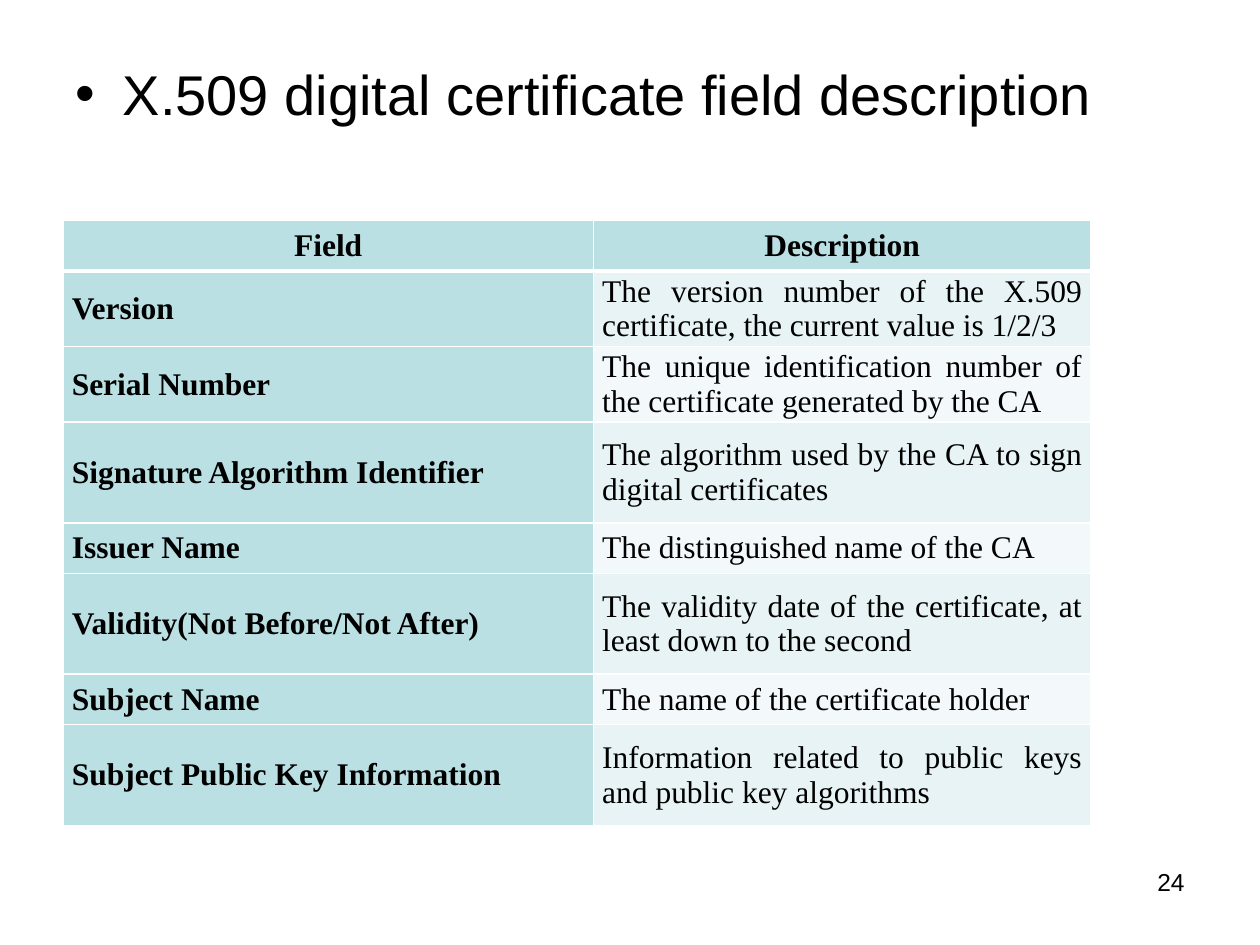
from lxml import etree
from pptx import Presentation
from pptx import util as u
from pptx.dml.color import RGBColor
from pptx.enum import text
from pptx.oxml.ns import qn

COLORS = {
    "ink": "000000",
    "rule": "FFFFFF",
    "header": "BBE0E3",
    "odd": "E7F3F4",
    "even": "F3F9FA",
}

FIELDS = [
    ("Field", "Description", 0.4),
    ("Version", "The version number of the X.509 certificate, the current value is 1/2/3", 0.4),
    ("Serial Number", "The unique identification number of the certificate generated by the CA", 0.4),
    ("Signature Algorithm Identifier", "The algorithm used by the CA to sign digital certificates", 0.8),
    ("Issuer Name", "The distinguished name of the CA", 0.4),
    ("Validity(Not Before/Not After)", "The validity date of the certificate, at least down to the second", 0.8),
    ("Subject Name", "The name of the certificate holder", 0.4),
    ("Subject Public Key Information", "Information related to public keys and public key algorithms", 0.8),
]


class SlideBuilder:
    def __init__(self, slide):
        self.slide = slide
        self.font = "Arial"
        self.table_font = "Times New Roman"

    def add_words(self, paragraph, words, size, font, align, bold=False):
        paragraph.alignment = align
        run = paragraph.add_run()
        run.text = words
        run.font.size = u.Pt(size)
        run.font.name = font
        run.font.bold = bold
        run.font.color.rgb = RGBColor.from_string(COLORS["ink"])

    def heading(self, words, left, top, width, height):
        """Fill the body placeholder, which carries the bullet, and drop the unused title."""
        title = self.slide.shapes.title
        title.element.getparent().remove(title.element)
        body = self.slide.placeholders[1]
        body.left, body.top = u.Inches(left), u.Inches(top)
        body.width, body.height = u.Inches(width), u.Inches(height)
        self.add_words(body.text_frame.paragraphs[0], words, 32, self.font, text.PP_ALIGN.JUSTIFY)

    def page_number(self, number, left, top, width, height):
        box = self.slide.shapes.add_textbox(*map(u.Inches, (left, top, width, height)))
        box.text_frame.word_wrap = True
        self.add_words(box.text_frame.paragraphs[0], number, 14, self.font, text.PP_ALIGN.RIGHT)

    def borders(self, cell, **points):
        """Draw the cell's edges; the keys are L, R, T and B."""
        props = cell._tc.get_or_add_tcPr()
        for side, width in points.items():
            line = etree.SubElement(props, qn(f"a:ln{side}"), w=str(u.Pt(width)))
            fill = etree.SubElement(line, qn("a:solidFill"))
            etree.SubElement(fill, qn("a:srgbClr"), val=COLORS["rule"])

    def cell(self, cell, words, fill, align, bold):
        cell.margin_left = cell.margin_right = u.Inches(0.07)
        cell.margin_top = cell.margin_bottom = 0
        cell.vertical_anchor = text.MSO_ANCHOR.MIDDLE
        cell.fill.solid()
        cell.fill.fore_color.rgb = RGBColor.from_string(COLORS[fill])
        self.add_words(cell.text_frame.paragraphs[0], words, 18, self.table_font, align, bold)

    def field_table(self, fields, left, top, widths):
        height = sum(row_height for _, _, row_height in fields)
        frame = self.slide.shapes.add_table(
            len(fields), len(widths),
            *map(u.Inches, (left, top, sum(widths), height)))
        table = frame.table
        for column, width in zip(table.columns, widths):
            column.width = u.Inches(width)
        for r, (*entries, row_height) in enumerate(fields):
            table.rows[r].height = u.Inches(row_height)
            align = text.PP_ALIGN.JUSTIFY if r else text.PP_ALIGN.CENTER
            for c, words in enumerate(entries):
                is_header = r == 0 or c == 0
                fill = "header" if is_header else ("even", "odd")[r % 2]
                cell = table.cell(r, c)
                self.borders(cell, L=1, R=1, T=3 if r == 1 else 1, B=3 if r == 0 else 1)
                self.cell(cell, words, fill, align, is_header)


def main():
    deck = Presentation()
    deck.slide_width, deck.slide_height = u.Inches(10), u.Inches(7.5)
    builder = SlideBuilder(deck.slides.add_slide(deck.slide_layouts[1]))
    builder.heading("X.509 digital certificate field description", 0.5, 0.42, 9, 4.95)
    builder.page_number("24", 7.17, 6.83, 2.33, 0.52)
    builder.field_table(FIELDS, 0.5, 1.75, (4.21, 3.95))
    deck.save("out.pptx")


if __name__ == "__main__":
    main()
